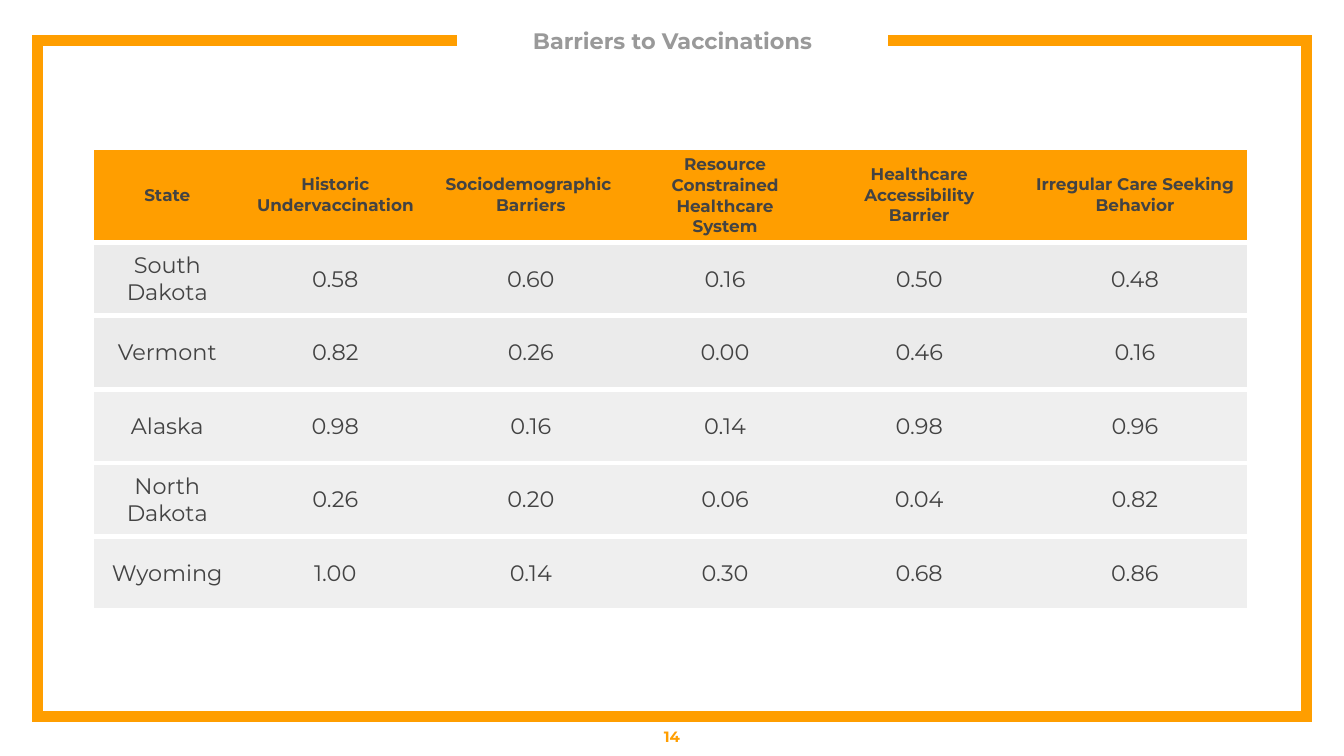
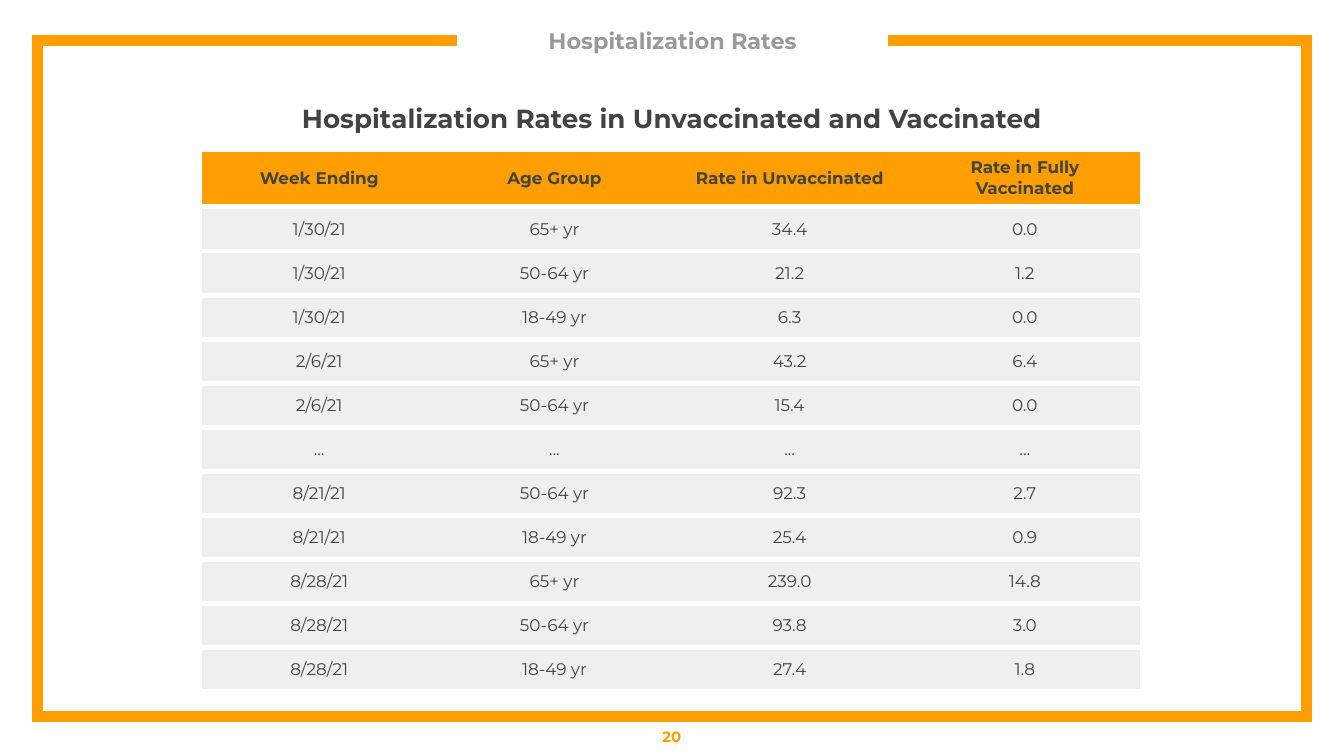
from dataclasses import dataclass

from pptx import Presentation
from pptx.dml.color import RGBColor
from pptx.enum.text import MSO_ANCHOR, PP_ALIGN
from pptx.oxml.ns import qn
from pptx.util import Inches, Pt
from lxml.etree import SubElement


@dataclass(frozen=True)
class Theme:
    font: str = "Montserrat"
    accent: str = "FF9E00"
    title: str = "999999"
    text: str = "434343"
    rule: str = "FFFFFF"
    row: str = "EFEFEF"
    row_dark: str = "EBEBEB"
    title_size: int = 12
    heading_size: int = 14
    header_size: int = 9
    number_size: int = 8
    frame_width: int = 6
    rule_width: int = 3


THEME = Theme()
WIDTH = 10
HEIGHT = WIDTH * 9 / 16
FRAME_LEFT, FRAME_TOP, FRAME_BOTTOM = 0.28, 0.3, 5.33
FRAME_GAP = (3.4, 6.61)

SLIDES = [
    {
        "title": "Barriers to Vaccinations",
        "number": "14",
        "at": (0.7, 1.1),
        "columns": [1.09, 1.41, 1.5, 1.39, 1.5, 1.71],
        "header_height": 0.55,
        "body_height": 2.74,
        "body_size": 12,
        "dark_rows": 2,
        "header": ["State", "Historic\nUndervaccination", "Sociodemographic \nBarriers",
                   "Resource Constrained Healthcare System",
                   "Healthcare Accessibility Barrier",
                   "Irregular Care Seeking Behavior"],
        "rows": [
            ("South Dakota", "0.58", "0.60", "0.16", "0.50", "0.48"),
            ("Vermont", "0.82", "0.26", "0.00", "0.46", "0.16"),
            ("Alaska", "0.98", "0.16", "0.14", "0.98", "0.96"),
            ("North Dakota", "0.26", "0.20", "0.06", "0.04", "0.82"),
            ("Wyoming", "1.00", "0.14", "0.30", "0.68", "0.86"),
        ],
    },
    {
        "title": "Hospitalization Rates",
        "number": "20",
        "heading": "Hospitalization Rates in Unvaccinated and Vaccinated",
        "at": (1.5, 1.11),
        "columns": [1.75] * 4,
        "header_height": 0.43,
        "body_height": 3.61,
        "body_size": 9,
        "dark_rows": 0,
        "header": ["Week Ending", "Age Group", "Rate in Unvaccinated",
                   "Rate in Fully Vaccinated"],
        "rows": [
            ("1/30/21", "65+ yr", "34.4", "0.0"),
            ("1/30/21", "50-64 yr", "21.2", "1.2"),
            ("1/30/21", "18-49 yr", "6.3", "0.0"),
            ("2/6/21", "65+ yr", "43.2", "6.4"),
            ("2/6/21", "50-64 yr", "15.4", "0.0"),
            ("...",) * 4,
            ("8/21/21", "50-64 yr", "92.3", "2.7"),
            ("8/21/21", "18-49 yr", "25.4", "0.9"),
            ("8/28/21", "65+ yr", "239.0", "14.8"),
            ("8/28/21", "50-64 yr", "93.8", "3.0"),
            ("8/28/21", "18-49 yr", "27.4", "1.8"),
        ],
    },
]


def write(frame, text, size, color, bold=True):
    """Fill a text frame with centred paragraphs, one for each line of text."""
    for index, line in enumerate(text.split("\n")):
        para = frame.add_paragraph() if index else frame.paragraphs[0]
        para.alignment = PP_ALIGN.CENTER
        span = para.add_run()
        span.text = line
        span.font.name = THEME.font
        span.font.size = Pt(size)
        span.font.bold = bold
        span.font.color.rgb = RGBColor.from_string(color)


def add_text(page, area, text, size, color, inset=0.1, anchor=MSO_ANCHOR.MIDDLE):
    frame = page.shapes.add_textbox(*map(Inches, area)).text_frame
    frame.word_wrap = True
    frame.vertical_anchor = anchor
    frame.margin_left = frame.margin_right = Inches(inset)
    frame.margin_top = frame.margin_bottom = Inches(inset)
    write(frame, text, size, color)


def add_frame(page):
    """Draw the open border whose gap holds the title."""
    right = WIDTH - FRAME_LEFT
    gap_left, gap_right = FRAME_GAP
    corners = [
        (gap_left, FRAME_TOP), (FRAME_LEFT, FRAME_TOP), (FRAME_LEFT, FRAME_BOTTOM),
        (right, FRAME_BOTTOM), (right, FRAME_TOP), (gap_right, FRAME_TOP),
    ]
    start, *others = [(Inches(x), Inches(y)) for x, y in corners]
    builder = page.shapes.build_freeform(*start)
    builder.add_line_segments(others, close=False)
    border = builder.convert_to_shape()
    border.shadow.inherit = False
    border.fill.background()
    border.line.color.rgb = RGBColor.from_string(THEME.accent)
    border.line.width = Pt(THEME.frame_width)
    SubElement(border.line._get_or_add_ln(), qn("a:miter"), lim="800000")


def set_borders(cell, ruled_sides):
    properties = cell._tc.get_or_add_tcPr()
    for side in "LRTB":
        line = SubElement(properties, qn(f"a:ln{side}"), w=str(Pt(THEME.rule_width)))
        if side in ruled_sides:
            fill = SubElement(line, qn("a:solidFill"))
            SubElement(fill, qn("a:srgbClr"), val=THEME.rule)
        else:
            SubElement(line, qn("a:noFill"))


def add_rate_table(page, content):
    columns, records = content["columns"], [content["header"], *content["rows"]]
    row_count = len(content["rows"])
    row_height = content["body_height"] / row_count
    heights = [content["header_height"]] + [row_height] * row_count
    area = (*content["at"], sum(columns), sum(heights))
    table = page.shapes.add_table(len(records), len(columns), *map(Inches, area)).table
    table.first_row = table.horz_banding = False
    for column, width in zip(table.columns, columns):
        column.width = Inches(width)
    for row, height in zip(table.rows, heights):
        row.height = Inches(height)

    for r, record in enumerate(records):
        is_header = r == 0
        size = THEME.header_size if is_header else content["body_size"]
        if is_header:
            fill = THEME.accent
        else:
            fill = THEME.row_dark if r <= content["dark_rows"] else THEME.row
        for c, text in enumerate(record):
            cell = table.cell(r, c)
            set_borders(cell, "RTB" if c == len(columns) - 1 else "TB")
            cell.fill.solid()
            cell.fill.fore_color.rgb = RGBColor.from_string(fill)
            cell.vertical_anchor = MSO_ANCHOR.MIDDLE
            write(cell.text_frame, text, size, THEME.text, bold=is_header)


def add_page(deck, content):
    page = deck.slides.add_slide(deck.slide_layouts[6])
    add_frame(page)
    add_text(page, (3.55, 0.11, 2.91, 0.39), content["title"],
             THEME.title_size, THEME.title, inset=0)
    add_text(page, (0, FRAME_BOTTOM, WIDTH, 0.3), content["number"],
             THEME.number_size, THEME.accent)
    add_rate_table(page, content)
    if "heading" in content:
        add_text(page, (1.87, 0.71, 6.26, 0.34), content["heading"],
                 THEME.heading_size, THEME.text, inset=0.05, anchor=MSO_ANCHOR.TOP)


def main():
    deck = Presentation()
    deck.slide_width, deck.slide_height = Inches(WIDTH), Inches(HEIGHT)
    for content in SLIDES:
        add_page(deck, content)
    deck.save("out.pptx")


if __name__ == "__main__":
    main()
